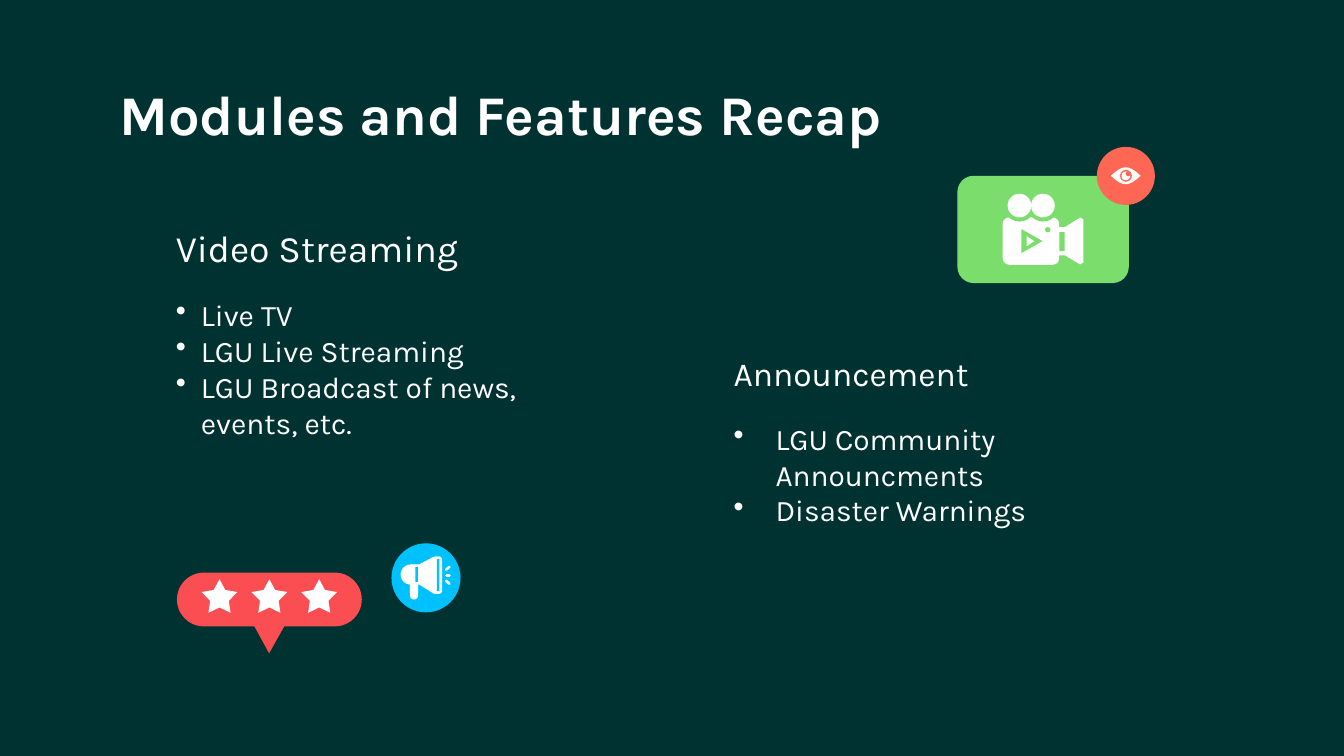
from math import cos, pi

from lxml.etree import SubElement
from pptx import Presentation
from pptx.dml.color import RGBColor
from pptx.enum.shapes import MSO_CONNECTOR, MSO_SHAPE as Preset
from pptx.enum.text import MSO_ANCHOR
from pptx.oxml.ns import qn
from pptx.util import Pt

DARK = RGBColor(0x00, 0x32, 0x32)
WHITE = RGBColor(0xFF, 0xFF, 0xFF)
BLUE = RGBColor(0x00, 0xC1, 0xFF)
GREEN = RGBColor(0x7B, 0xDD, 0x6C)
CORAL = RGBColor(0xFD, 0x67, 0x54)
RED = RGBColor(0xFB, 0x4E, 0x52)
FONT = "Karla"

TITLE = "Modules and Features Recap"
# heading, heading size, left, top, bullet indent, items
MODULES = [
    ("Video Streaming", 20, 87.1, 114.5, 13.5,
     ["Live TV", "LGU Live Streaming", "LGU Broadcast of news, events, etc."]),
    ("Announcement", 18, 385.9, 180.7, 22.5,
     ["LGU Community Announcments", "Disaster Warnings"]),
]
COLUMN_W, HEADING_H, ITEMS_H = 247, 37.4, 115.2

OVAL, RECT = Preset.OVAL, Preset.RECTANGLE
ROUND, STAR = Preset.ROUNDED_RECTANGLE, Preset.STAR_5_POINT

# Icon parts, back to front: (preset, colour, (left, top, width, height), adjustment)
# or ("outline", colour, points) or ("ray", colour, (start, end))
REELS = [(x, 103.8, 12.7, 12.7) for x in (539.8, 552.4)]
REEL_GAP = 2.2
EYE_X, EYE_Y, EYE_HALF_W, EYE_HALF_H = 603.1, 94.2, 8, 4.5
EYE_STEPS = [i / 10 for i in range(-10, 11)]
EYE = [(EYE_X + side * EYE_HALF_W * t,
        EYE_Y - side * EYE_HALF_H * cos(t * pi / 2))
       for side in (1, -1) for t in EYE_STEPS]

MEGAPHONE = [
    (OVAL, BLUE, (209.7, 291.1, 37, 37)),
    (ROUND, WHITE, (214.6, 302.4, 10.8, 10.8), 0.5),
    (ROUND, WHITE, (219.6, 308, 4.4, 13.2), 0.5),
    ("outline", WHITE, [(220, 302.4), (224.6, 302.4), (232.6, 298.1),
                        (232.6, 318.2), (224.6, 313.2), (220, 313.2)]),
    (ROUND, WHITE, (231.6, 298.1, 5.3, 20.1), 0.35),
    (RECT, BLUE, (222.5, 303.8, 1.4, 8)),
    (RECT, BLUE, (234, 299.5, 1.4, 17.3)),
    ("ray", WHITE, ((239.2, 308.2), (240.8, 308.2))),
    ("ray", WHITE, ((239, 305.2), (240.8, 303.7))),
    ("ray", WHITE, ((239, 311.2), (240.8, 312.7))),
]
CAMERA = [
    (ROUND, GREEN, (512.9, 94.2, 91.8, 57.5), 0.15),
    (ROUND, WHITE, (537.1, 116.4, 30.3, 25.5), 0.14),
    *[(OVAL, GREEN, (x - REEL_GAP, y - REEL_GAP, w + 2 * REEL_GAP, h + 2 * REEL_GAP))
      for x, y, w, h in REELS],
    *[(OVAL, WHITE, reel) for reel in REELS],
    ("outline", WHITE, [(567, 121.7), (570.5, 121.7), (578.6, 116.6), (580.4, 117.5),
                        (580.4, 140.7), (578.6, 141.7), (570.5, 136.8), (567, 136.8)]),
    (RECT, GREEN, (567.5, 124.4, 2.9, 10.2)),
    (OVAL, GREEN, (559.9, 121.7, 2.8, 2.8)),
    ("outline", GREEN, [(547.2, 122.8), (558.5, 129.2), (547.2, 135.6)]),
    ("outline", WHITE, [(550, 126.5), (554.1, 129.2), (550, 132)]),
]
VIEWS = [
    (OVAL, CORAL, (587.6, 78.7, 31.1, 31.1)),
    ("outline", WHITE, EYE),
    (OVAL, CORAL, (600, 91, 6.4, 6.4)),
    (OVAL, WHITE, (600.8, 91.9, 4.7, 4.7)),
    (OVAL, CORAL, (603.1, 91.8, 2.6, 2.6)),
]
RATING = [
    (ROUND, RED, (94.8, 306.8, 99, 28.8), 0.5),
    ("outline", RED, [(136, 335), (152.6, 335), (144.2, 350)]),
    *[(STAR, WHITE, (108 + 26.7 * i, 310.3, 19.2, 18), 0.26) for i in range(3)],
]


def add_text(slide, box, lines, size, bold=False, anchor=MSO_ANCHOR.TOP, indent=None):
    """Add a text box; an indent turns its lines into bullets."""
    frame = slide.shapes.add_textbox(*map(Pt, box)).text_frame
    frame.word_wrap = True
    frame.vertical_anchor = anchor
    frame.margin_left = frame.margin_right = Pt(7.2)
    frame.margin_top = frame.margin_bottom = Pt(7.2)
    frame.text = "\n".join(lines)
    for paragraph in frame.paragraphs:
        font = paragraph.font
        font.name, font.size, font.bold = FONT, Pt(size), bold
        font.color.rgb = WHITE
        if indent:
            add_bullet(paragraph, indent)


def add_bullet(paragraph, indent):
    props = paragraph._p.get_or_add_pPr()
    props.set("marL", str(Pt(indent)))
    props.set("indent", str(-Pt(indent)))
    bullet = SubElement(props, qn("a:buChar"))
    bullet.set("char", "•")
    color = SubElement(props, qn("a:buClr"))
    SubElement(color, qn("a:srgbClr")).set("val", str(WHITE))
    default_font = props.find(qn("a:defRPr"))
    default_font.addprevious(color)
    default_font.addprevious(bullet)


def add_ray(shapes, color, start, end):
    ray = shapes.add_connector(MSO_CONNECTOR.STRAIGHT, *map(Pt, start + end))
    ray.line.color.rgb = color
    ray.line.width = Pt(1.4)
    ray.line._get_or_add_ln().set("cap", "rnd")
    SubElement(ray._element.spPr, qn("a:effectLst"))


def add_icon(slide, parts):
    shapes = slide.shapes.add_group_shape().shapes
    for kind, color, geometry, *adjustment in parts:
        if kind == "ray":
            add_ray(shapes, color, *geometry)
            continue
        if kind == "outline":
            first, *others = [(Pt(x), Pt(y)) for x, y in geometry]
            builder = shapes.build_freeform(*first)
            builder.add_line_segments(others)
            part = builder.convert_to_shape()
        else:
            part = shapes.add_shape(kind, *map(Pt, geometry))
        if adjustment:
            part.adjustments[0] = adjustment[0]
        part.shadow.inherit = False
        part.fill.solid()
        part.fill.fore_color.rgb = color
        part.line.fill.background()


def main():
    deck = Presentation()
    deck.slide_width, deck.slide_height = Pt(720), Pt(405)
    slide = deck.slides.add_slide(deck.slide_layouts[6])
    slide.background.fill.solid()
    slide.background.fill.fore_color.rgb = DARK

    add_text(slide, (56.9, 35.3, 607, 45.4), [TITLE], 30, bold=True)
    for heading, size, left, top, indent, items in MODULES:
        add_text(slide, (left, top, COLUMN_W, HEADING_H), [heading], size,
                 anchor=MSO_ANCHOR.BOTTOM)
        add_text(slide, (left, top + HEADING_H, COLUMN_W, ITEMS_H), items, 16,
                 indent=indent)
    for icon in (MEGAPHONE, CAMERA, VIEWS, RATING):
        add_icon(slide, icon)
    deck.save("out.pptx")


if __name__ == "__main__":
    main()
